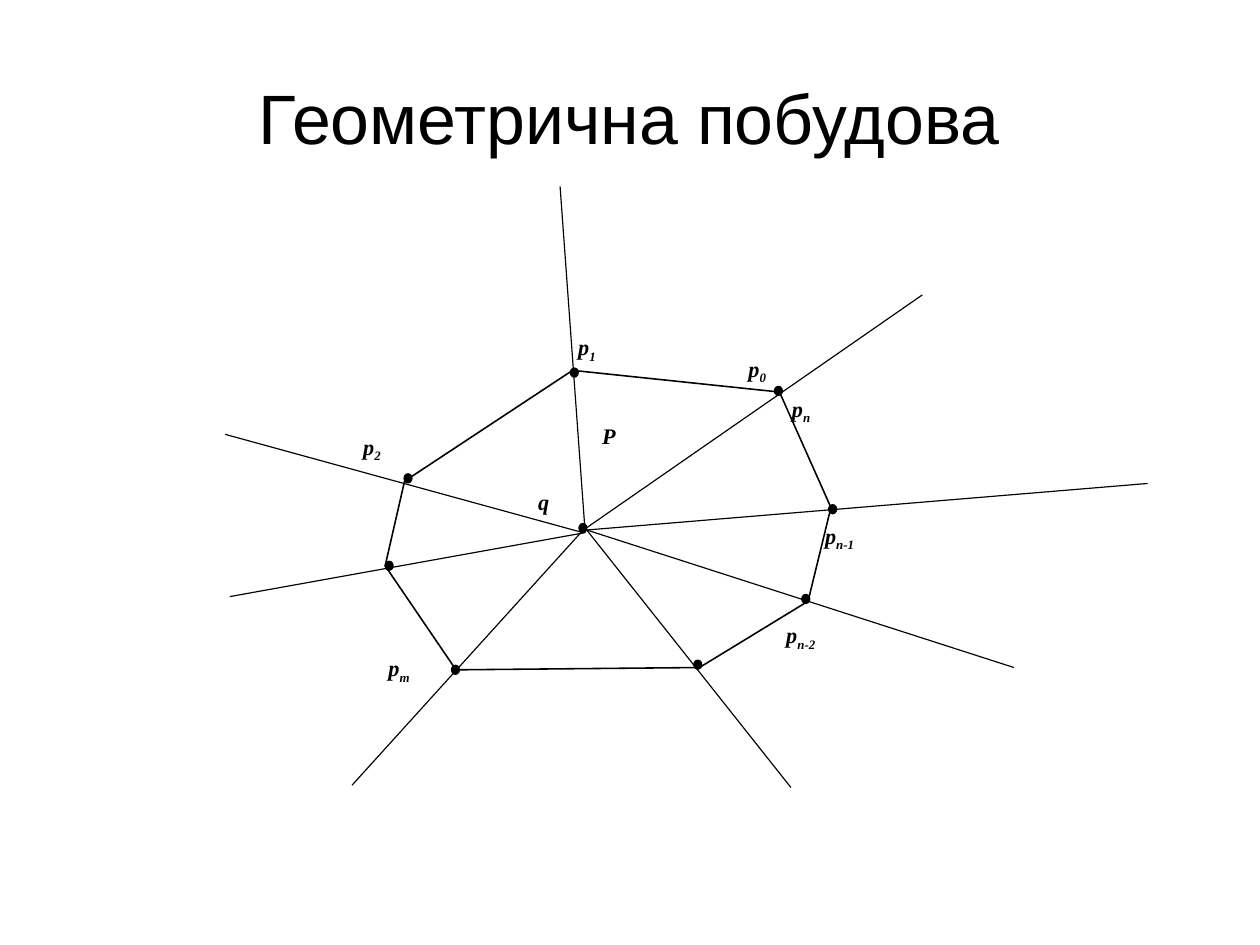
from dataclasses import dataclass

from lxml import etree
from pptx import Presentation
from pptx import util as u
from pptx.dml.color import RGBColor
from pptx.enum import shapes, text
from pptx.oxml import ns

TITLE = "Геометрична побудова"
POLYGON = [(501, 324), (682, 343), (727, 444), (707, 526),
           (612, 584), (399, 586), (337, 495), (354, 421)]
POINTS = [(357, 418.5), (510, 462), (502.5, 326), (340.5, 495), (398.5, 586),
          (681, 342), (728.5, 445.5), (705, 524), (610.5, 581.5)]
RAYS = [((512, 466), (201, 522)), ((510, 466), (197, 380)),
        ((512, 466), (490, 163)), ((510, 464), (807, 258)),
        ((510, 464), (1004, 423)), ((508, 462), (887, 584)),
        ((512, 462), (692, 689)), ((510, 464), (308, 687))]
LABELS = [("P", "", 517, 342), ("p", "0", 645, 285), ("p", "1", 496, 266),
          ("p", "2", 308, 353), ("p", "n", 683, 320), ("p", "n-1", 712, 431),
          ("p", "n-2", 678, 518), ("q", "", 461, 400), ("p", "m", 330, 547)]

GRID = u.Inches(0.01)
PAGE_SIZE = (u.Cm(28), u.Cm(21))
TITLE_BOX = (55, 33, 992, 138)
LABEL_SIZE = (97, 78)
DOT_SIZE = (7, 8)


@dataclass
class Theme:
    ink: RGBColor = RGBColor(0, 0, 0)
    paper: RGBColor = RGBColor(255, 255, 255)
    title_font: str = "Arial"
    label_font: str = "Times New Roman"
    title_size: u.Pt = u.Pt(44)
    label_size: u.Pt = u.Pt(14)
    outline: u.Pt = u.Pt(1)
    thin: u.Pt = u.Pt(0.75)


THEME = Theme()


def cells(*values):
    return [round(value * GRID) for value in values]


def paint(shape, fill, width):
    shape.shadow.inherit = False
    shape.fill.solid()
    shape.fill.fore_color.rgb = fill
    shape.line.color.rgb = THEME.ink
    shape.line.width = width


def style(font, name, size):
    font.name = name
    font.size = size
    font.color.rgb = THEME.ink


def add_title(page):
    title = page.shapes.title
    title.left, title.top, title.width, title.height = cells(*TITLE_BOX)
    frame = title.text_frame
    frame.text = TITLE
    frame.vertical_anchor = text.MSO_ANCHOR.MIDDLE
    frame.margin_left = frame.margin_right = frame.margin_top = frame.margin_bottom = 0
    para = frame.paragraphs[0]
    para.alignment = text.PP_ALIGN.CENTER
    style(para.font, THEME.title_font, THEME.title_size)


def add_polygon(page):
    start, *rest = [cells(*corner) for corner in POLYGON]
    builder = page.shapes.build_freeform(*start, scale=1.0)
    builder.add_line_segments(rest, close=True)
    paint(builder.convert_to_shape(), THEME.paper, THEME.outline)


def add_point(page, x, y):
    width, height = DOT_SIZE
    dot = page.shapes.add_shape(
        shapes.MSO_SHAPE.OVAL, *cells(x - width / 2, y - height / 2, width, height))
    paint(dot, THEME.ink, THEME.thin)


def add_ray(page, start, end):
    ray = page.shapes.add_connector(shapes.MSO_CONNECTOR.STRAIGHT, *cells(*start, *end))
    ray.line.color.rgb = THEME.ink
    ray.line.width = THEME.thin
    etree.SubElement(ray._element.spPr, ns.qn("a:effectLst"))


def add_label(page, letter, index, left, top):
    box = page.shapes.add_textbox(*cells(left, top, *LABEL_SIZE))
    frame = box.text_frame
    frame.word_wrap = True
    frame.vertical_anchor = text.MSO_ANCHOR.MIDDLE
    para = frame.paragraphs[0]
    para.add_run().text = letter
    if index:
        span = para.add_run()
        span.text = index
        span._r.get_or_add_rPr().set("baseline", "-25000")
    style(para.font, THEME.label_font, THEME.label_size)
    para.font.bold = para.font.italic = True


def main():
    deck = Presentation()
    deck.slide_width, deck.slide_height = PAGE_SIZE
    page = deck.slides.add_slide(deck.slide_layouts[5])
    add_title(page)
    add_polygon(page)
    for point in POINTS:
        add_point(page, *point)
    for ray in RAYS:
        add_ray(page, *ray)
    for label in LABELS:
        add_label(page, *label)
    deck.save("out.pptx")


if __name__ == "__main__":
    main()
